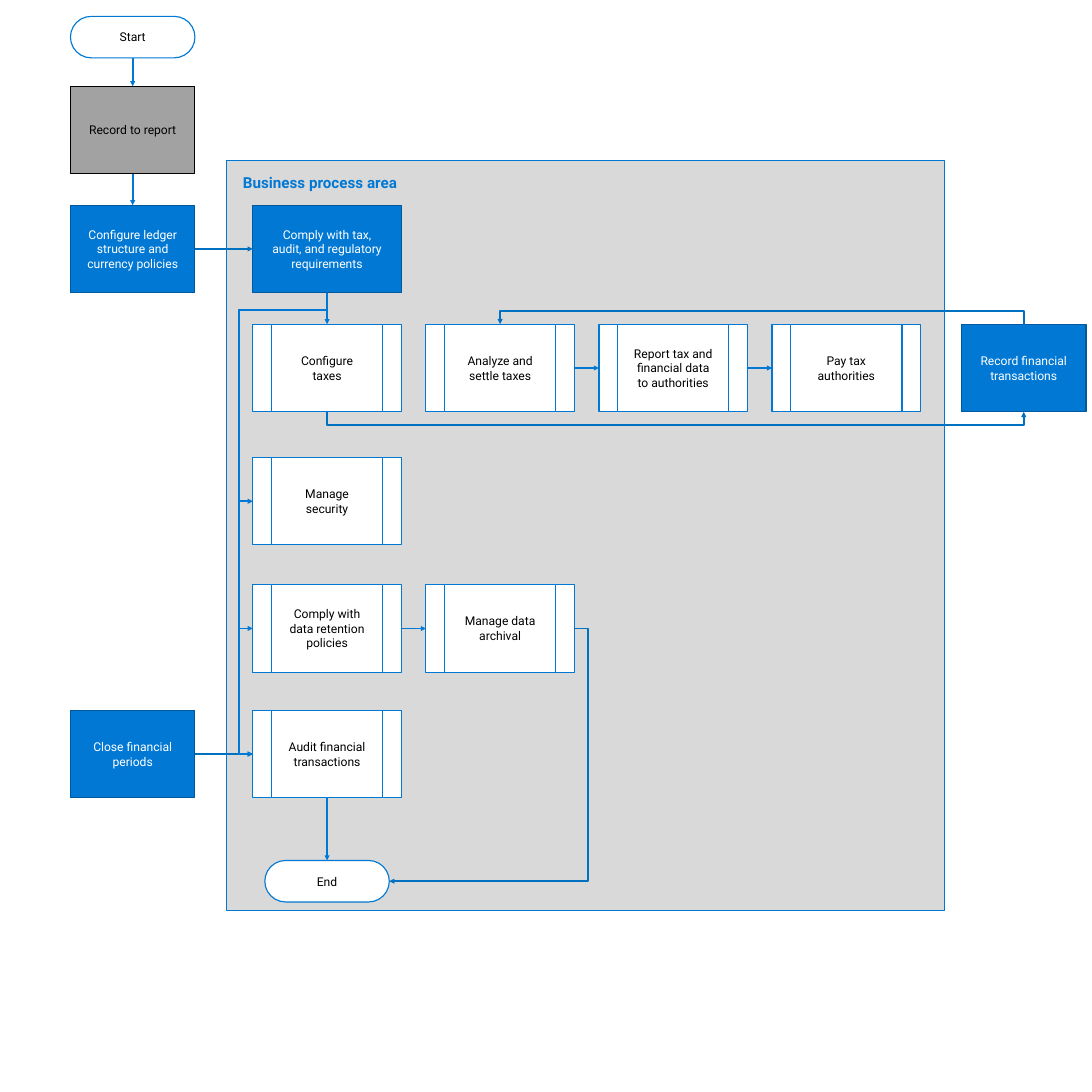
import pptx
import pptx.util
import pptx.dml.color
import pptx.enum.shapes
import pptx.enum.text
import pptx.oxml.ns
import lxml.etree

In = pptx.util.Inches
RGB = pptx.dml.color.RGBColor
MSO = pptx.enum.shapes.MSO_SHAPE
LINK = pptx.enum.shapes.MSO_CONNECTOR
ALIGN = pptx.enum.text.PP_ALIGN
ANCHOR = pptx.enum.text.MSO_ANCHOR
qn = pptx.oxml.ns.qn

BLUE, FLOW, EDGE = RGB(0x00, 0x78, 0xD4), RGB(0x00, 0x70, 0xC0), RGB(0x00, 0x59, 0x9D)
WHITE, BLACK = RGB(0xFF, 0xFF, 0xFF), RGB(0, 0, 0)
GRAY, PANEL = RGB(0xA2, 0xA2, 0xA2), RGB(0xD9, 0xD9, 0xD9)

TOP, LEFT, BOTTOM, RIGHT = range(4)
BOX_H, PILL_H, LANE_W, STEP_W = 1.6, 0.76, 2.28, 2.72
COL_PITCH, STUB = 3.17, 0.25
ROWS = [0.82, 3.0, 5.44, 7.77, 10.07]

STYLES = {
    "panel": (MSO.RECTANGLE, PANEL, BLUE, BLUE),
    "pill": (MSO.ROUNDED_RECTANGLE, WHITE, BLUE, BLACK),
    "parent": (MSO.RECTANGLE, GRAY, BLACK, BLACK),
    "area": (MSO.RECTANGLE, BLUE, EDGE, WHITE),
    "step": (MSO.FLOWCHART_PREDEFINED_PROCESS, WHITE, BLUE, BLACK),
}


def add_node(s, style, text, x, y, w, h, size=16, bold=False,
             align=ALIGN.CENTER, anchor=ANCHOR.MIDDLE):
    """Add one labelled shape in a named style."""
    shape, fill, line, color = STYLES[style]
    sp = s.shapes.add_shape(shape, In(x), In(y), In(w), In(h))
    sp.shadow.inherit = False
    sp.fill.solid()
    sp.fill.fore_color.rgb = fill
    sp.line.color.rgb = line
    sp.line.width = pptx.util.Pt(1.5)
    if style == "pill":
        sp.adjustments[0] = 0.5
    tf = sp.text_frame
    frame = {"word_wrap": True, "vertical_anchor": anchor,
             "margin_left": In(0.3), "margin_right": In(0.3),
             "margin_top": In(0.24), "margin_bottom": In(0.24)}
    for name, value in frame.items():
        setattr(tf, name, value)
    p = tf.paragraphs[0]
    p.alignment = align
    r = p.add_run()
    r.text = text
    for name, value in {"name": "Roboto", "size": pptx.util.Pt(size), "bold": bold}.items():
        setattr(r.font, name, value)
    r.font.color.rgb = color
    return sp


def join(s, kind, start, start_site, end, end_site, color):
    """Join two shapes with an arrow."""
    cx = s.shapes.add_connector(kind, 0, 0, 0, 0)
    cx.begin_connect(start, start_site)
    cx.end_connect(end, end_site)
    cx.line.color.rgb = color
    cx.line.width = pptx.util.Pt(2.25)
    lxml.etree.SubElement(cx.line._get_or_add_ln(), qn("a:tailEnd"), type="triangle")
    lxml.etree.SubElement(cx._element.spPr, qn("a:effectLst"))
    return cx


def add_arrow(s, start, start_site, end, end_site, color=BLUE):
    """Add a straight arrow between two shapes."""
    join(s, LINK.STRAIGHT, start, start_site, end, end_site, color)


def add_elbow(s, start, start_site, end, end_site, turns, rot=0, flip=None, color=BLUE):
    """Add a bent arrow whose turns are inches along, then across, its first leg."""
    cx = join(s, LINK.ELBOW, start, start_site, end, end_site, color)
    mid_x, mid_y = (cx.begin_x + cx.end_x) // 2, (cx.begin_y + cx.end_y) // 2
    w, h = abs(cx.end_x - cx.begin_x), abs(cx.end_y - cx.begin_y)
    if rot:
        w, h = max(h, In(0.01)), w
    place = {"left": mid_x - w // 2, "top": mid_y - h // 2, "width": w, "height": h}
    for name, value in place.items():
        setattr(cx, name, value)
    xfrm = cx._element.spPr.find(qn("a:xfrm"))
    for name in ("flipH", "flipV"):
        xfrm.attrib.pop(name, None)
    if rot:
        xfrm.set("rot", str(rot * 60000))
    if flip:
        xfrm.set(flip, "1")
    geom = cx._element.spPr.find(qn("a:prstGeom"))
    geom.set("prst", f"bentConnector{len(turns) + 2}")
    guides = geom.find(qn("a:avLst"))
    for i, (turn, side) in enumerate(zip(turns, (w, h)), 1):
        lxml.etree.SubElement(guides, qn("a:gd"), name=f"adj{i}",
                              fmla=f"val {round(In(turn) / side * 100000)}")


def add_lane(s, x, y):
    """Add the column of neighbouring processes that lead into the area."""
    items = [("start", "pill", "Start", 0, PILL_H),
             ("report", "parent", "Record to report", 1.28, BOX_H),
             ("ledger", "area", "Configure ledger structure and currency policies", 3.46, BOX_H),
             ("close", "area", "Close financial periods", 12.71, BOX_H)]
    return {key: add_node(s, style, text, x, y + dy, LANE_W, h)
            for key, style, text, dy, h in items}


def add_area(s, x, y, w, h):
    """Add the business process area with its grid of steps."""
    add_node(s, "panel", "Business process area", x, y, w, h, size=20, bold=True,
             align=ALIGN.LEFT, anchor=ANCHOR.TOP)
    items = [("comply", "area", "Comply with tax, audit, and regulatory requirements", 0, 0),
             ("taxes", "step", "Configure taxes", 0, 1),
             ("settle", "step", "Analyze and settle taxes", 1, 1),
             ("data", "step", "Report tax and financial data to authorities", 2, 1),
             ("pay", "step", "Pay tax authorities", 3, 1),
             ("security", "step", "Manage security", 0, 2),
             ("retention", "step", "Comply with data retention policies", 0, 3),
             ("archival", "step", "Manage data archival", 1, 3),
             ("audit", "step", "Audit financial transactions", 0, 4)]
    nodes = {key: add_node(s, style, text, x + 0.48 + col * COL_PITCH, y + ROWS[row],
                           STEP_W, BOX_H)
             for key, style, text, col, row in items}
    nodes["end"] = add_node(s, "pill", "End", x + 0.7, y + 12.82, LANE_W, PILL_H)
    return nodes


def add_flows(s, n):
    """Connect the processes."""
    for a, b in [("start", "report"), ("report", "ledger"), ("comply", "taxes"),
                 ("audit", "end")]:
        add_arrow(s, n[a], BOTTOM, n[b], TOP)
    for a, b in [("settle", "data"), ("data", "pay"), ("retention", "archival")]:
        add_arrow(s, n[a], RIGHT, n[b], LEFT)
    for a, b in [("ledger", "comply"), ("close", "audit")]:
        add_arrow(s, n[a], RIGHT, n[b], LEFT, FLOW)
    for key in ("security", "audit", "retention"):
        add_elbow(s, n["comply"], BOTTOM, n[key], LEFT, (0.32, STEP_W / 2 + STUB), rot=90)
    add_elbow(s, n["taxes"], BOTTOM, n["record"], BOTTOM, (STUB,), 270, "flipH", FLOW)
    add_elbow(s, n["record"], TOP, n["settle"], TOP, (STUB,), 270, "flipV", FLOW)
    add_elbow(s, n["archival"], RIGHT, n["end"], RIGHT, (-STUB,), flip="flipH", color=FLOW)


def main():
    """Build the process flow slide."""
    prs = pptx.Presentation()
    prs.slide_width = prs.slide_height = In(20)
    s = prs.slides.add_slide(prs.slide_layouts[6])
    nodes = add_area(s, 4.15, 2.94, 13.15, 13.74)
    nodes.update(add_lane(s, 1.29, 0.3))
    nodes["record"] = add_node(s, "area", "Record financial transactions",
                               17.61, 5.94, LANE_W, BOX_H)
    add_flows(s, nodes)
    prs.save("out.pptx")


if __name__ == "__main__":
    main()
